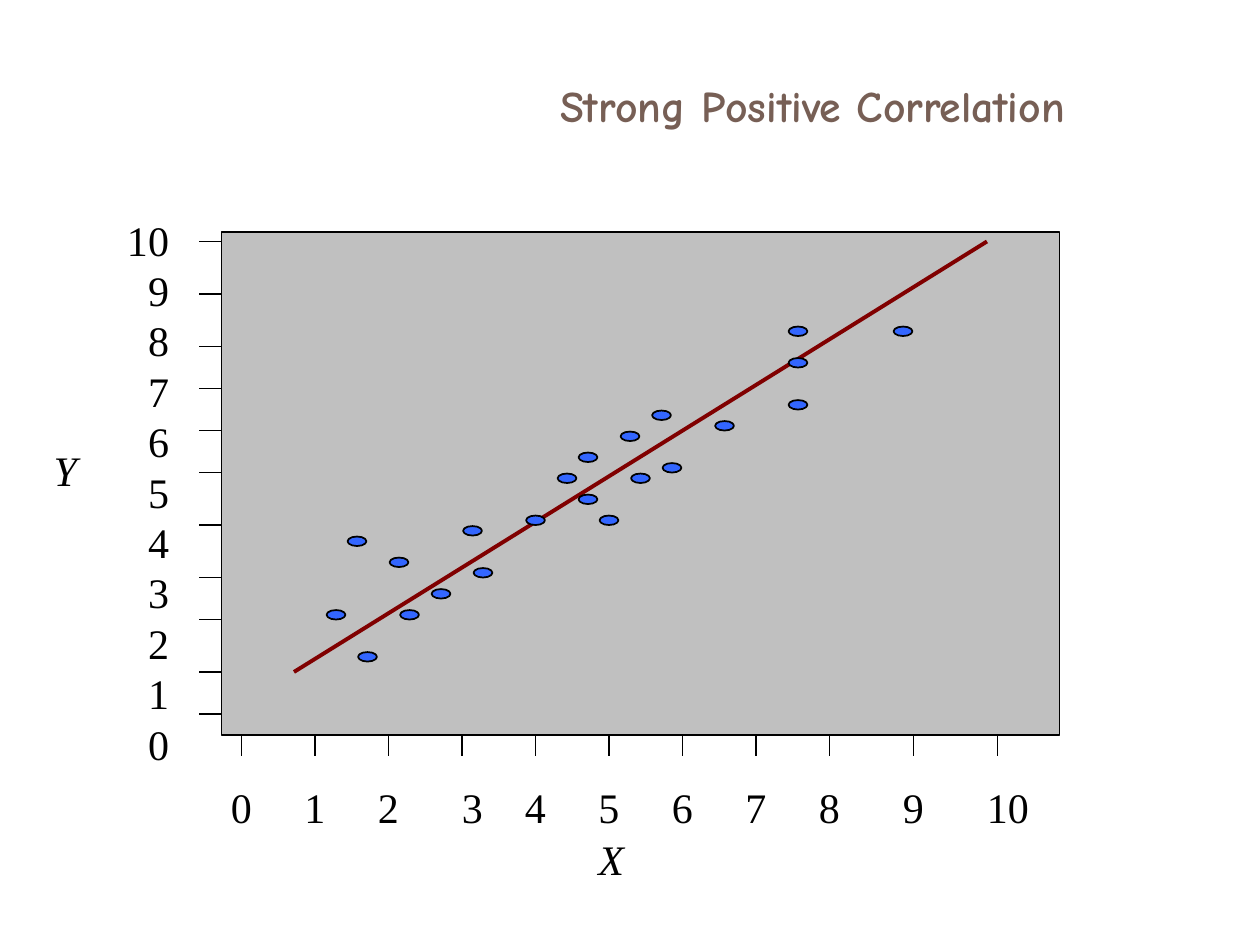
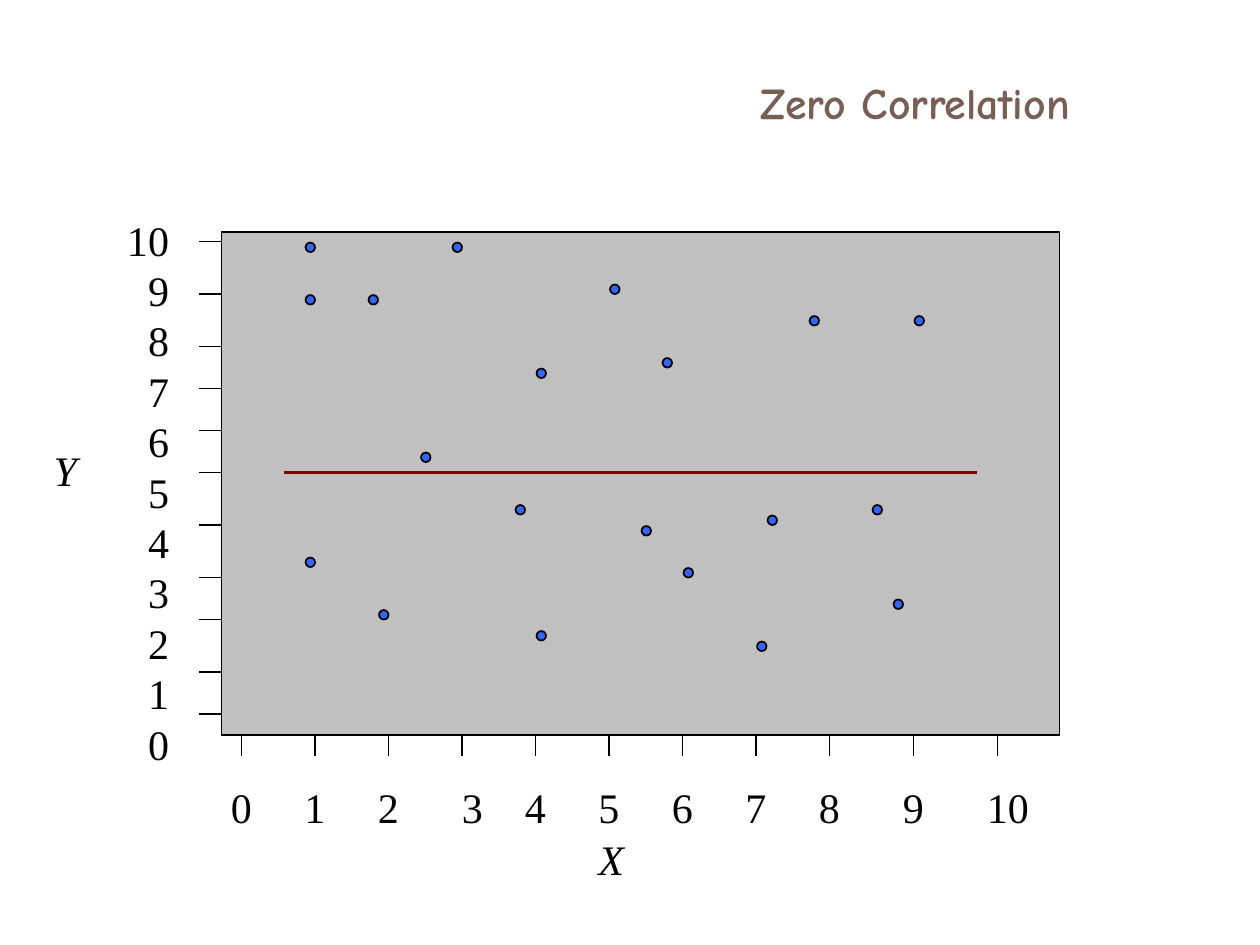
"""Build two scatter slides on a grid of twelfths of an inch."""
from lxml.etree import SubElement
from pptx import Presentation
from pptx.dml.color import RGBColor
from pptx.enum.shapes import MSO_CONNECTOR as Link, MSO_SHAPE as Shape
from pptx.enum.text import MSO_ANCHOR as Anchor, MSO_AUTO_SIZE as Fit, PP_ALIGN as Align
from pptx.oxml.ns import qn
from pptx.util import Inches, Pt

paint = RGBColor.from_string
CELL = Inches(1) // 12
INK, GREY, BLUE, RED, BROWN = "000000", "C0C0C0", "3366FF", "800000", "775F55"
HEAD, BODY = "Comic Neue", "Times New Roman"

COLS = [23, 30, 37, 44, 51, 58, 65, 72, 79, 87, 95]
ROWS = [23, 28, 33, 37, 41, 45, 50, 55, 59, 64, 68]
MARKS = [22, 29, 36, 44, 50, 57, 64, 71, 78, 86, 94]
PLOT = (21.1, 22.1, 79.8, 47.9)
BASE, SIDE, TICK = 70, 21, 2

PLOTS = [
    {"title": "Strong Positive Correlation", "box": (0.75, 0.42, 7.8, 0.82),
     "trend": (28, 64, 94, 23), "size": (1.8, 0.9),
     "dots": [(44, 50), (53, 45), (55, 43), (50, 49), (37, 53), (75, 31), (75, 34), (59, 41),
              (60, 45), (62, 39), (63, 44), (75, 38), (68, 40), (85, 31), (55, 47), (57, 49),
              (33, 51), (38, 58), (45, 54), (41, 56), (31, 58), (34, 62)]},
    {"title": "Zero Correlation", "box": (2.08, 0.37, 6.51, 0.88),
     "trend": (93, 45, 27, 45), "size": (0.9, 0.9),
     "dots": [(29, 23), (29, 28), (35, 28), (43, 23), (40, 43), (63, 34), (87, 30), (36, 58),
              (51, 60), (65, 54), (77, 30), (51, 35), (58, 27), (72, 61), (73, 49), (61, 50),
              (49, 48), (83, 48), (85, 57), (29, 53)]},
]


def write(box, text, size=24, font=BODY, color=INK, bold=False, slant=False,
          align=Align.RIGHT, anchor=Anchor.TOP, tabs=()):
    frame = box.text_frame
    frame.text = text
    frame.word_wrap, frame.auto_size, frame.vertical_anchor = True, Fit.NONE, anchor
    for para in frame.paragraphs:
        para.alignment = align
        if tabs:
            stops = SubElement(para._p.get_or_add_pPr(), qn("a:tabLst"))
            for stop in tabs:
                SubElement(stops, qn("a:tab"), pos=str(stop * CELL), algn="l")
        for run in para.runs:
            face = run.font
            face.name, face.size, face.bold, face.italic = font, Pt(size), bold, slant
            face.color.rgb = paint(color)
    return frame


def draw(slide, ends, color=INK, width=1):
    line = slide.shapes.add_connector(Link.STRAIGHT, *[n * CELL for n in ends])
    line.line.color.rgb = paint(color)
    line.line.width = Pt(width)
    SubElement(line._element.spPr, qn("a:effectLst"))


deck = Presentation()
deck.slide_width, deck.slide_height = Inches(10), Inches(7.5)

for plot in PLOTS:
    slide = deck.slides.add_slide(deck.slide_layouts[5])
    shapes = slide.shapes
    title = shapes.title
    title.left, title.top, title.width, title.height = map(Inches, plot["box"])
    write(title, plot["title"], size=25, font=HEAD, color=BROWN, bold=True, anchor=Anchor.MIDDLE)

    parts = [(Shape.RECTANGLE, PLOT, GREY)]
    parts += [(Shape.OVAL, (x + 0.1, y + 0.1, *plot["size"]), BLUE) for x, y in plot["dots"]]
    for kind, area, fill in parts:
        item = shapes.add_shape(kind, *[int(n * CELL) for n in area])
        item.shadow.inherit = False
        item.fill.solid()
        item.fill.fore_color.rgb = paint(fill)
        item.line.color.rgb = paint(INK)
        item.line.width = Pt(1)
        if kind == Shape.RECTANGLE:
            for col in COLS:
                draw(slide, (col, BASE, col, BASE + TICK))
            for row in ROWS:
                draw(slide, (SIDE, row, SIDE - TICK, row))
            draw(slide, plot["trend"], RED, 2.25)

    scale = shapes.add_textbox(19 * CELL, Inches(6.15), Inches(6.7), Inches(0.5))
    frame = write(scale, "\t".join(map(str, range(11))), align=Align.LEFT,
                  tabs=[mark - MARKS[0] for mark in MARKS[1:]])
    frame.margin_left = (MARKS[0] - 19) * CELL
    frame.margin_right = 0

    for text, area, slant in [
        ("\n".join(map(str, range(10, -1, -1))), (0.9, 1.65, 0.54, 4.5), False),
        ("X", (4.23, 6.57, 0.82, 0.5), True),
        ("Y", (0.07, 3.48, 0.64, 0.5), True),
    ]:
        write(shapes.add_textbox(*map(Inches, area)), text, slant=slant)

deck.save("out.pptx")
